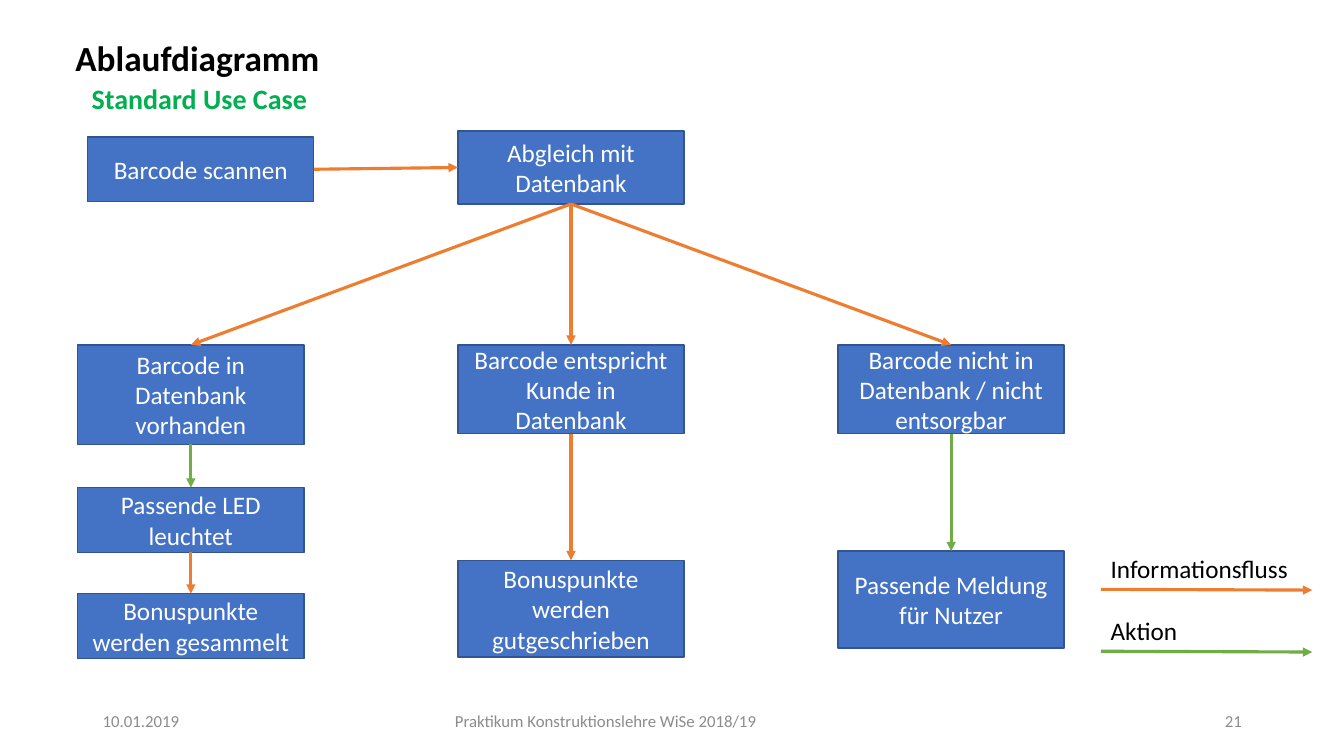
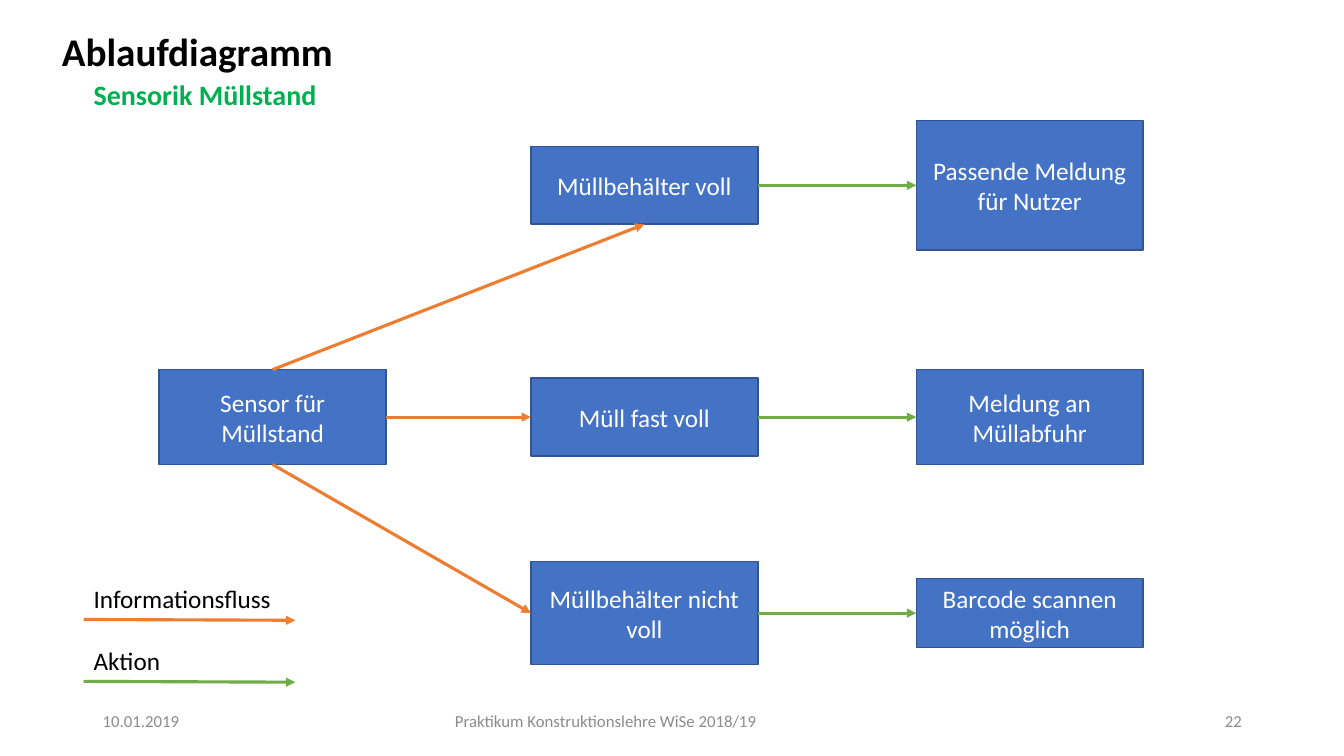
from lxml.etree import SubElement
from pptx import Presentation
from pptx.dml.color import RGBColor
from pptx.enum.shapes import MSO_CONNECTOR, MSO_SHAPE
from pptx.enum.text import MSO_ANCHOR, MSO_AUTO_SIZE, PP_ALIGN
from pptx.oxml.ns import qn
from pptx.util import Cm, Pt

FONT = "Calibri"
BLACK = RGBColor(0x00, 0x00, 0x00)
WHITE = RGBColor(0xFF, 0xFF, 0xFF)
GREY = RGBColor(0x8C, 0x8C, 0x8C)
SUBTITLE_GREEN = RGBColor(0x00, 0xB0, 0x50)
STEP_BLUE = RGBColor(0x44, 0x72, 0xC4)
STEP_EDGE = RGBColor(0x32, 0x54, 0x91)
INFORMATION = RGBColor(0xED, 0x7D, 0x31)
ACTION = RGBColor(0x70, 0xAD, 0x47)

TITLE_ONLY = 5
TOP, LEFT, BOTTOM, RIGHT = range(4)  # connection sites of a rectangle


def write(frame, text, size, color, align=PP_ALIGN.LEFT, bold=False):
    frame.text = text
    frame.word_wrap = True
    paragraph = frame.paragraphs[0]
    paragraph.alignment = align
    font = paragraph.font
    font.name, font.size, font.bold = FONT, Pt(size), bold
    font.color.rgb = color


def add_label(slide, left, top, width, height, text, size, color, **style):
    label = slide.shapes.add_textbox(Cm(left), Cm(top), Cm(width), Cm(height))
    write(label.text_frame, text, size, color, **style)
    return label


def add_step(slide, left, top, width, height, text):
    step = slide.shapes.add_shape(
        MSO_SHAPE.RECTANGLE, Cm(left), Cm(top), Cm(width), Cm(height))
    step.shadow.inherit = False
    step.fill.solid()
    step.fill.fore_color.rgb = STEP_BLUE
    step.line.color.rgb = STEP_EDGE
    step.line.width = Pt(1)
    step.text_frame.vertical_anchor = MSO_ANCHOR.MIDDLE
    write(step.text_frame, text, 18, WHITE, PP_ALIGN.CENTER)
    return step


def add_arrow(slide, color, start=(0, 0), end=(0, 0)):
    arrow = slide.shapes.add_connector(
        MSO_CONNECTOR.STRAIGHT, *(Cm(value) for value in (*start, *end)))
    arrow.line.color.rgb = color
    arrow.line.width = Pt(2.25)
    properties = arrow.element.spPr
    SubElement(properties.find(qn("a:ln")), qn("a:tailEnd"), type="triangle")
    SubElement(properties, qn("a:effectLst"))
    return arrow


def link(slide, color, source, source_site, target, target_site):
    arrow = add_arrow(slide, color)
    arrow.begin_connect(source, source_site)
    arrow.end_connect(target, target_site)


def add_heading(slide, left, top, size, subtitle, subtitle_left, subtitle_top):
    title = slide.shapes.title
    title.left, title.top, title.width, title.height = (
        Cm(value) for value in (left, top, 12, 1.73))
    frame = title.text_frame
    write(frame, "Ablaufdiagramm", size, BLACK, bold=True)
    frame.auto_size = MSO_AUTO_SIZE.NONE
    frame.vertical_anchor = MSO_ANCHOR.BOTTOM
    frame.margin_left = 0
    frame.paragraphs[0].line_spacing = 0.9
    add_label(slide, subtitle_left, subtitle_top, 8, 1.11, subtitle,
              20, SUBTITLE_GREEN, bold=True)


def add_legend(slide, left, top):
    entries = (("Informationsfluss", INFORMATION), ("Aktion", ACTION))
    for row, (meaning, color) in enumerate(entries):
        row_top = top + row * 1.56
        arrow_y = row_top + 1.03
        add_label(slide, left, row_top, 5.4, 1.03, meaning, 18, BLACK)
        add_arrow(slide, color, (left, arrow_y), (left + 5.33, arrow_y + 0.02))


def add_footer(slide, number):
    parts = (
        (2.34, 7.62, "10.01.2019", PP_ALIGN.LEFT),
        (6.83, 16.87, "Praktikum Konstruktionslehre WiSe 2018/19", PP_ALIGN.CENTER),
        (23.93, 7.62, str(number), PP_ALIGN.RIGHT),
    )
    for left, width, text, align in parts:
        part = add_label(slide, left, 17.65, width, 1.01, text, 12, GREY, align=align)
        part.text_frame.vertical_anchor = MSO_ANCHOR.MIDDLE


def add_barcode_flow(slide, left, top):
    """Scan, comparison and the three possible outcomes."""
    width, column_step = 5.7, 9.58

    def step(column, offset, height, text, shift=0):
        return add_step(slide, left + column * column_step + shift, top + offset,
                        width, height, text)

    scan = step(0, 0.15, 1.63, "Barcode scannen", shift=0.25)
    comparison = step(1, 0, 1.84, "Abgleich mit Datenbank")
    link(slide, INFORMATION, scan, RIGHT, comparison, LEFT)

    # Each outcome: offset, height, text and the colour of the arrow leading to it
    outcomes = (
        ((5.39, 2.51, "Barcode in Datenbank vorhanden", INFORMATION),
         (8.99, 1.63, "Passende LED leuchtet", ACTION),
         (11.66, 1.63, "Bonuspunkte werden gesammelt", INFORMATION)),
        ((5.39, 2.24, "Barcode entspricht Kunde in Datenbank", INFORMATION),
         (10.82, 2.44, "Bonuspunkte werden gutgeschrieben", INFORMATION)),
        ((5.39, 2.24, "Barcode nicht in Datenbank / nicht entsorgbar", INFORMATION),
         (10.59, 2.44, "Passende Meldung für Nutzer", ACTION)),
    )
    for column, chain in enumerate(outcomes):
        previous = comparison
        for offset, height, text, color in chain:
            current = step(column, offset, height, text)
            link(slide, color, previous, BOTTOM, current, TOP)
            previous = current


def add_sensor_flow(slide, left, top):
    """Sensor, the three fill levels and their reactions."""
    width, level_left, reaction_left = 5.72, 9.37, 19.08

    def step(offset, middle, height, text):
        return add_step(slide, left + offset, top + middle - height / 2,
                        width, height, text)

    sensor = step(0, 7.49, 2.39, "Sensor für Müllstand")
    # Row middle, level height and text, reaction height and text, arrow sites
    rows = (
        (1.65, 1.96, "Müllbehälter voll",
         3.26, "Passende Meldung für Nutzer", TOP, BOTTOM),
        (7.49, 1.96, "Müll fast voll",
         2.39, "Meldung an Müllabfuhr", RIGHT, LEFT),
        (12.43, 2.59, "Müllbehälter nicht voll",
         1.73, "Barcode scannen möglich", BOTTOM, LEFT),
    )
    for (middle, level_height, level_text, reaction_height, reaction_text,
         sensor_site, level_site) in rows:
        level = step(level_left, middle, level_height, level_text)
        reaction = step(reaction_left, middle, reaction_height, reaction_text)
        link(slide, INFORMATION, sensor, sensor_site, level, level_site)
        link(slide, ACTION, level, RIGHT, reaction, LEFT)


def add_standard_case(presentation):
    slide = presentation.slides.add_slide(presentation.slide_layouts[TITLE_ONLY])
    add_heading(slide, 1.9, 0.38, 25.2, "Standard Use Case", 2.06, 1.93)
    add_barcode_flow(slide, 1.96, 3.3)
    add_legend(slide, 27.74, 13.82)
    add_footer(slide, 21)


def add_fill_level_case(presentation):
    slide = presentation.slides.add_slide(presentation.slide_layouts[TITLE_ONLY])
    add_heading(slide, 1.56, 0.28, 28, "Sensorik Müllstand", 2.11, 1.83)
    add_sensor_flow(slide, 4.01, 3.02)
    add_legend(slide, 2.11, 14.58)
    add_footer(slide, 22)


def main():
    presentation = Presentation()
    presentation.slide_width, presentation.slide_height = Cm(33.87), Cm(19.05)
    add_standard_case(presentation)
    add_fill_level_case(presentation)
    presentation.save("out.pptx")


if __name__ == "__main__":
    main()
